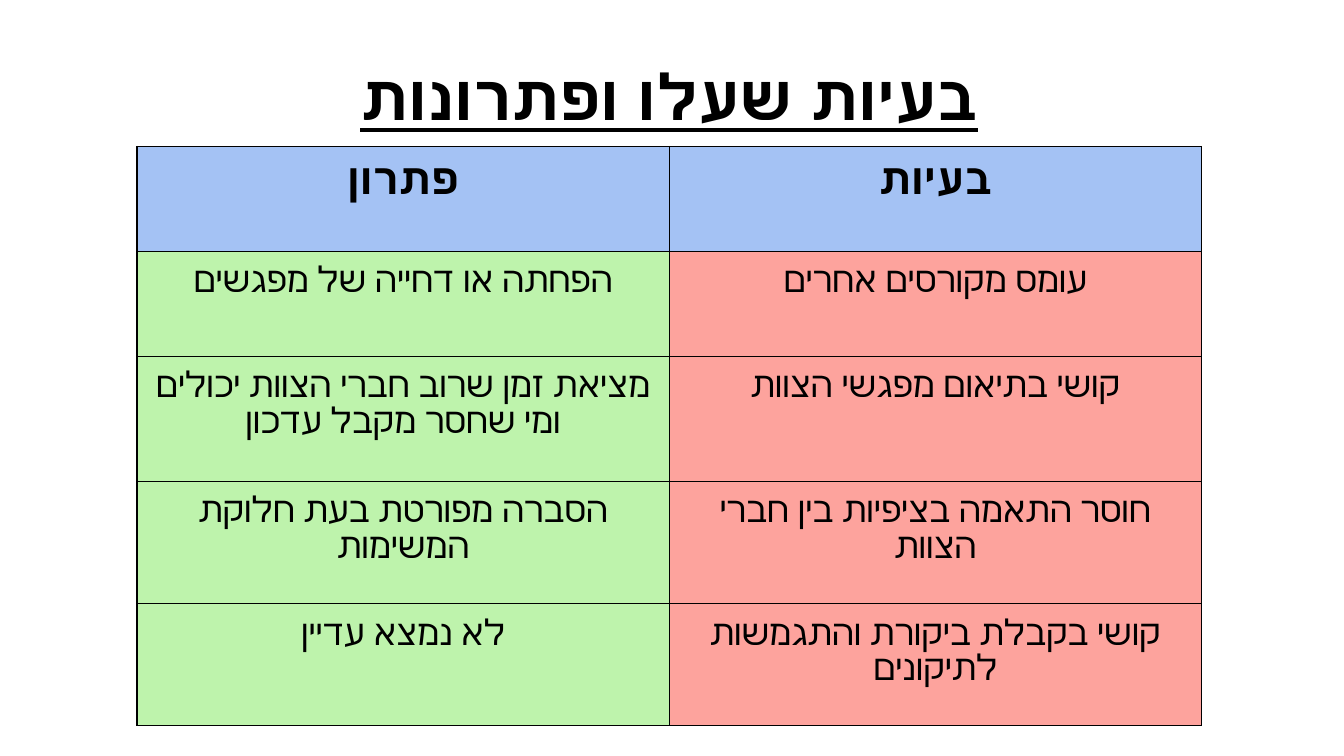
from lxml.etree import SubElement
from pptx import Presentation
from pptx.dml.color import RGBColor
from pptx.enum.text import MSO_ANCHOR, PP_ALIGN
from pptx.oxml.ns import qn
from pptx.util import Inches, Pt

# Content
TITLE = "בעיות שעלו ופתרונות"
ROWS = [  # solution, problem
    ("פתרון", "בעיות"),
    ("הפחתה או דחייה של מפגשים", "עומס מקורסים אחרים"),
    ("מציאת זמן שרוב חברי הצוות יכולים ומי שחסר מקבל עדכון",
     "קושי בתיאום מפגשי הצוות"),
    ("הסברה מפורטת בעת חלוקת המשימות", "חוסר התאמה בציפיות בין חברי הצוות"),
    ("לא נמצא עדיין", "קושי בקבלת ביקורת והתגמשות לתיקונים"),
]
HEIGHTS = [0.78, 0.78, 0.93, 0.91, 0.91]
COL_WIDTH = 3.96
COLORS = {"text": "000000", "line": "000000", "header": "A4C2F4",
          "solution": "55E025", "problem": "FD5E53"}
COLUMNS = [("solution", 38), ("problem", 57)]  # fill colour, opacity in percent
FONT = "Roboto"
TITLE_FORMAT = {"size": Pt(34), "bold": True, "underline": True}
HEADER_FORMAT = {"size": Pt(23), "bold": True}
BODY_FORMAT = {"size": Pt(19), "bold": False}
MARGINS = ("margin_left", "margin_right", "margin_top", "margin_bottom")


def write(p, text, fmt):
    p.alignment = PP_ALIGN.CENTER
    r = p.add_run()
    r.text = text
    r.font.color.rgb = RGBColor.from_string(COLORS["text"])
    r.font.name = FONT
    for name, value in fmt.items():
        setattr(r.font, name, value)


def set_margins(target):
    for name in MARGINS:
        setattr(target, name, Inches(0.1))


def add_borders(tcPr):
    for i, side in enumerate(("lnL", "lnR", "lnT", "lnB")):
        ln = SubElement(tcPr, qn(f"a:{side}"), w=str(Pt(0.75)))
        fill = SubElement(ln, qn("a:solidFill"))
        SubElement(fill, qn("a:srgbClr"), val=COLORS["line"])
        tcPr.insert(i, ln)  # borders come before the fill


def fill_cell(cell, color, opacity=100):
    cell.fill.solid()
    cell.fill.fore_color.rgb = RGBColor.from_string(COLORS[color])
    tcPr = cell._tc.get_or_add_tcPr()
    if opacity < 100:
        clr = tcPr.find(".//" + qn("a:srgbClr"))
        SubElement(clr, qn("a:alpha"), val=str(opacity * 1000))
    add_borders(tcPr)


prs = Presentation()
prs.slide_width = Inches(10)
prs.slide_height = Inches(10 * 9 / 16)  # widescreen
s = prs.slides.add_slide(prs.slide_layouts[6])

# Title
tf = s.shapes.add_textbox(Inches(1.84), Inches(0.23),
                          Inches(6.28), Inches(0.86)).text_frame
tf.word_wrap = True
tf.vertical_anchor = MSO_ANCHOR.BOTTOM
set_margins(tf)
p = tf.paragraphs[0]
p.line_spacing, p.space_after = 1.15, Pt(6)
write(p, TITLE, TITLE_FORMAT)

# Table of problems and solutions
table = s.shapes.add_table(len(ROWS), len(COLUMNS), Inches(1.02), Inches(1.09),
                           Inches(COL_WIDTH * len(COLUMNS)),
                           Inches(sum(HEIGHTS))).table
for col in table.columns:
    col.width = Inches(COL_WIDTH)
for i, (texts, height) in enumerate(zip(ROWS, HEIGHTS)):
    table.rows[i].height = Inches(height)
    for j, (text, (color, opacity)) in enumerate(zip(texts, COLUMNS)):
        cell = table.cell(i, j)
        set_margins(cell)
        p = cell.text_frame.paragraphs[0]
        write(p, text, BODY_FORMAT if i else HEADER_FORMAT)
        if i == 0:
            fill_cell(cell, "header")
            continue
        fill_cell(cell, color, opacity)
        if color == "problem":
            p._p.get_or_add_pPr().set("rtl", "1")

prs.save("out.pptx")
